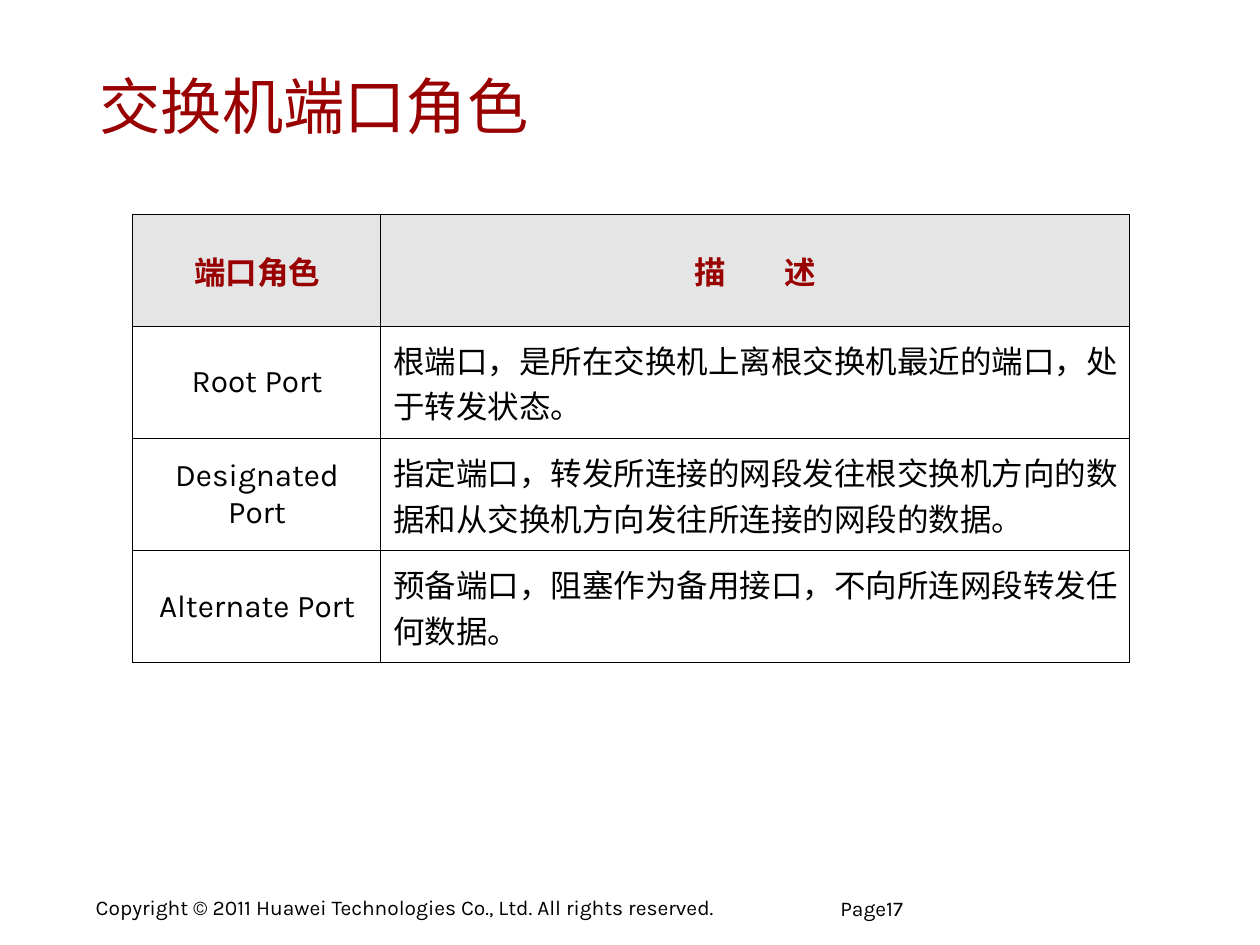
"""Build the slide that describes the port roles of a switch."""
from lxml import etree
from pptx import Presentation
from pptx.dml.color import RGBColor
from pptx.enum.text import MSO_ANCHOR, PP_ALIGN
from pptx.oxml.ns import qn
from pptx.util import Inches, Pt

MIDDLE, TOP = MSO_ANCHOR.MIDDLE, MSO_ANCHOR.TOP
LEFT, CENTER = PP_ALIGN.LEFT, PP_ALIGN.CENTER

FONT = "Karla"
RED, BLACK, GRAY = "990000", "000000", "CCCCCC"
BORDER_POINTS = 0.45
GAP_TRACKING = 14.5

TITLE = "交换机端口角色"
HEADER = [("端口角色",), ("描 ", "述")]
ROLES = [
    [("Root Port",), ("根端口，是所在交换机上离根交换机最近的端口，处于转发状态。",)],
    [("Designated Port",), ("指定端口，转发所连接的网段发往根交换机方向的数据和从交换机方向发往所连接的网段的数据。",)],
    [("Alternate Port",), ("预备端口，阻塞作为备用接口，不向所连网段转发任何数据。",)],
]
COPYRIGHT = "Copyright © 2011 Huawei Technologies Co., Ltd. All rights reserved."
PAGE = "Page17"

COLUMN_WIDTHS = [1.97, 5.94]
ROW_HEIGHT = 0.89


def color(hex_string):
    return RGBColor.from_string(hex_string)


def write(frame, *parts, size, ink=BLACK, bold=False, align=LEFT, spacing=None):
    """Write the parts as one line, spreading every part but the last."""
    paragraph = frame.paragraphs[0]
    paragraph.alignment = align
    paragraph.line_spacing = spacing
    for index, part in enumerate(parts):
        run = paragraph.add_run()
        run.text = part
        run.font.name, run.font.size, run.font.bold = FONT, Pt(size), bold
        run.font.color.rgb = color(ink)
        if index < len(parts) - 1:
            run.font._element.set("spc", str(round(GAP_TRACKING * 100)))


def set_insets(target, left, top, right, bottom):
    target.margin_left, target.margin_top = Inches(left), Inches(top)
    target.margin_right, target.margin_bottom = Inches(right), Inches(bottom)


def add_label(slide, label, box, insets, wrap, spacing=None):
    frame = slide.shapes.add_textbox(*map(Inches, box)).text_frame
    frame.word_wrap, frame.vertical_anchor = wrap, TOP
    set_insets(frame, *insets)
    write(frame, label, size=12, spacing=spacing)


def style_cell(cell, is_header):
    cell.vertical_anchor = MIDDLE
    set_insets(cell, 0.1, 0.05, 0.09, 0.05)
    properties = cell._tc.get_or_add_tcPr()
    for side in ("a:lnL", "a:lnR", "a:lnT", "a:lnB"):
        line = etree.SubElement(properties, qn(side), w=str(Pt(BORDER_POINTS)))
        fill = etree.SubElement(line, qn("a:solidFill"))
        etree.SubElement(fill, qn("a:srgbClr"), val=BLACK)
    if is_header:
        cell.fill.solid()
        cell.fill.fore_color.rgb = color(GRAY)
        shade = properties.find(qn("a:solidFill")).find(qn("a:srgbClr"))
        etree.SubElement(shade, qn("a:alpha"), val="50000")
    else:
        cell.fill.background()


def add_role_table(slide, left, top):
    rows = [HEADER] + ROLES
    table = slide.shapes.add_table(
        len(rows), len(COLUMN_WIDTHS), Inches(left), Inches(top),
        Inches(sum(COLUMN_WIDTHS)), Inches(ROW_HEIGHT * len(rows))).table
    table.first_row = table.horz_banding = False
    for column, width in zip(table.columns, COLUMN_WIDTHS):
        column.width = Inches(width)
    for row_index, row in enumerate(rows):
        table.rows[row_index].height = Inches(ROW_HEIGHT)
        is_header = row_index == 0
        for column_index, parts in enumerate(row):
            cell = table.cell(row_index, column_index)
            style_cell(cell, is_header)
            write(cell.text_frame, *parts, size=18, bold=is_header,
                  ink=RED if is_header else BLACK,
                  align=CENTER if is_header or column_index == 0 else LEFT)


def main():
    deck = Presentation()
    deck.slide_width, deck.slide_height = Inches(10), Inches(7.5)
    slide = deck.slides.add_slide(deck.slide_layouts[5])

    add_label(slide, COPYRIGHT, (0.67, 7.06, 5.57, 0.29), (0.09, 0.04, 0.09, 0.04), False)
    add_label(slide, PAGE, (6.67, 7.14, 1.66, 0.36), (0, 0, 0, 0), True, spacing=0.85)

    title = slide.shapes.title
    title.left, title.top, title.width, title.height = map(Inches, (0.7, 0.36, 8.45, 0.95))
    title.text_frame.vertical_anchor = MIDDLE
    set_insets(title.text_frame, 0.09, 0.04, 0.09, 0.04)
    write(title.text_frame, TITLE, size=35, ink=RED)

    add_role_table(slide, 1.05, 1.7)
    deck.save("out.pptx")


if __name__ == "__main__":
    main()
